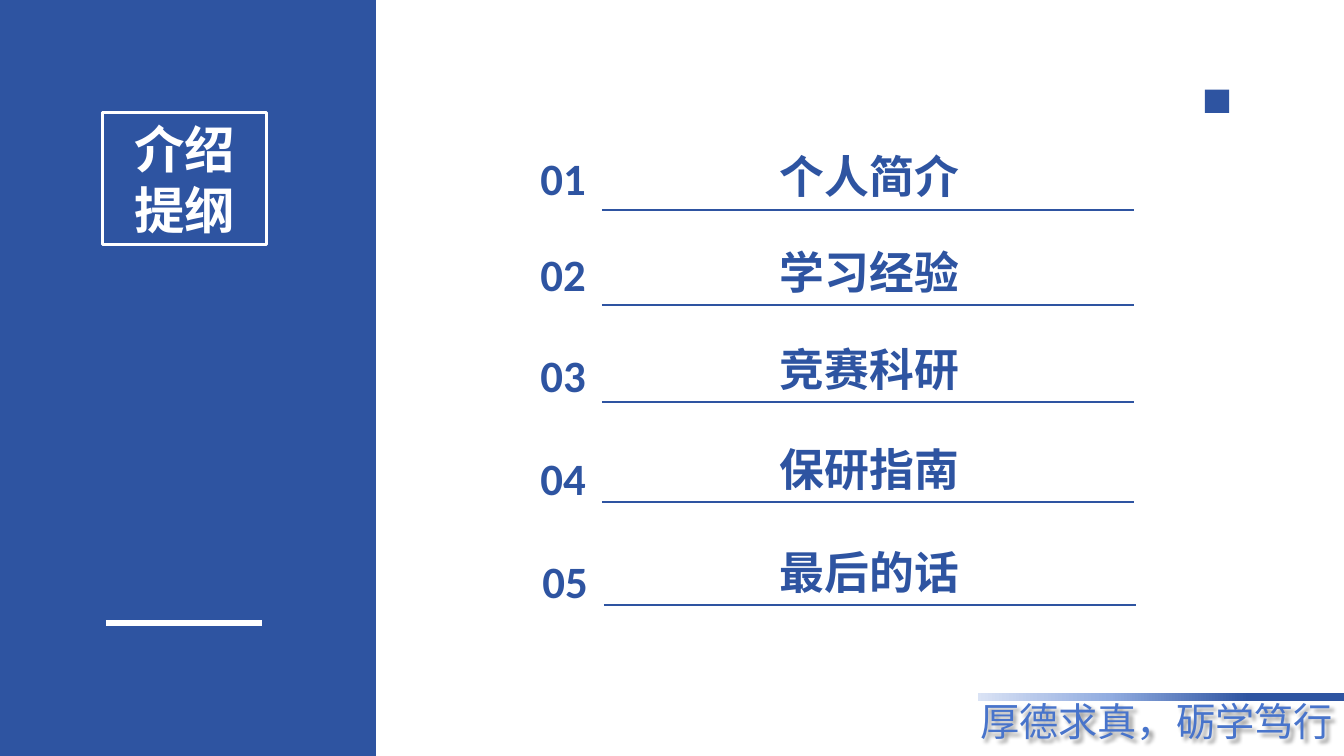
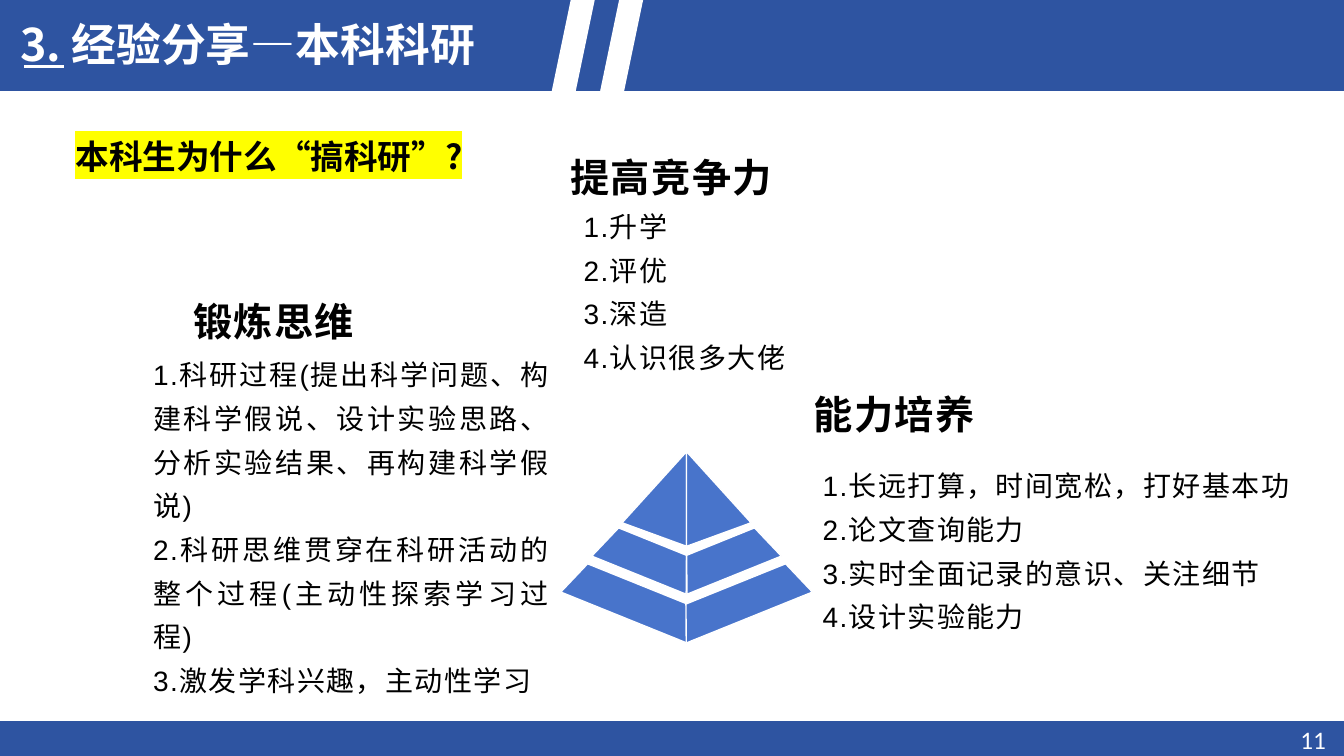
from lxml import etree
from pptx import Presentation, util as u
from pptx.dml.color import RGBColor
from pptx.enum import shapes, text
from pptx.oxml.ns import qn

WIDTH, HEIGHT = 13.33, 7.5
COLORS = {"navy": "2E54A1", "blue": "4874CB", "white": "FFFFFF",
          "black": "000000", "yellow": "FFFF00"}
CJK = "Noto Sans CJK SC"
SHAPE, ALIGN = shapes.MSO_SHAPE, text.PP_ALIGN

# Content: agenda rows are (name, rule height, number offset, shift of rule and number)
AGENDA_TITLE = ["介绍", "提纲"]
AGENDA = [
    ("个人简介", 2.08, 0.63, 0),
    ("学习经验", 3.03, 0.63, 0),
    ("竞赛科研", 3.99, 0.59, 0),
    ("保研指南", 4.98, 0.56, 0),
    ("最后的话", 6.00, 0.56, 0.02),
]
MOTTO = "厚德求真，砺学笃行"
MOTTO_FADE = [(0, "DAE3F5"), (17, "B6C7EA"), (36, "91ACE0"),
              (74, COLORS["navy"]), (100, COLORS["navy"])]

RESEARCH_TITLE = "3. 经验分享—本科科研"
QUESTION = "本科生为什么“搞科研”?"
PAGE_NUMBER = "11"
# Heading, heading frame, list, list frame
REASONS = [
    ("锻炼思维", (1.82, 2.76, 2.1, 0.71),
     ["科研过程(提出科学问题、构建科学假说、设计实验思路、分析实验结果、再构建科学假说)",
      "科研思维贯穿在科研活动的整个过程(主动性探索学习过程)",
      "激发学科兴趣，主动性学习"], (1.42, 3.4, 4.13, 3.6)),
    ("提高竞争力", (5.56, 1.33, 2.5, 0.71),
     ["升学", "评优", "深造", "认识很多大佬"], (5.69, 1.93, 2.36, 1.85)),
    ("能力培养", (7.97, 3.68, 2.79, 0.71),
     ["长远打算，时间宽松，打好基本功", "论文查询能力",
      "实时全面记录的意识、关注细节", "设计实验能力"], (8.06, 4.5, 6.67, 1.85)),
]
# Left half of the pyramid: shape, frame, rotation, adjustment
PYRAMID_AXIS = 6.81
PYRAMID = [
    (SHAPE.TRAPEZOID, (5.58, 5.78, 1.35, 0.36), 22, 0.394),
    (SHAPE.TRAPEZOID, (5.9, 5.36, 1.01, 0.36), 22, 0.394),
    (SHAPE.ISOSCELES_TRIANGLE, (6.02, 4.63, 0.94, 0.64), 270, 0.249),
]


def rgb(name):
    return RGBColor.from_string(COLORS[name])


def sub(parent, tag, **attributes):
    return etree.SubElement(parent, qn(tag), attributes)


def write(box, lines, size=20, color="black", font=CJK, bold=False, align=ALIGN.LEFT,
          spacing=None, tracking=None, highlight=None, wrap=True, inset=0.1,
          anchor=text.MSO_ANCHOR.TOP):
    """Fill a shape with one paragraph per line, all in one format."""
    frame = box.text_frame
    frame.auto_size = text.MSO_AUTO_SIZE.NONE
    frame.word_wrap, frame.vertical_anchor = wrap, anchor
    frame.margin_left = u.Inches(inset)
    for index, line in enumerate(lines):
        para = frame.add_paragraph() if index else frame.paragraphs[0]
        para.alignment = align
        if spacing:
            para.line_spacing = spacing
        span = para.add_run()
        span.text = line
        span.font.size, span.font.bold = u.Pt(size), bold
        span.font.color.rgb = rgb(color)
        span.font.name = font
        props = span.font._element
        props.set("lang", "zh-CN")
        if tracking:
            props.set("spc", str(tracking * 100))
        latin = props.find(qn("a:latin"))
        east = etree.Element(qn("a:ea"), typeface=CJK if font in ("Arial", "Calibri") else font)
        latin.addnext(east)
        if highlight:
            mark = etree.Element(qn("a:highlight"))
            sub(mark, "a:srgbClr", val=COLORS[highlight])
            latin.addprevious(mark)


def add_text(page, frame, lines, **style):
    box = page.shapes.add_textbox(*map(u.Inches, frame))
    write(box, lines, **style)
    return box


def add_block(page, kind, frame, fill="navy", line=None):
    block = page.shapes.add_shape(kind, *map(u.Inches, frame))
    block.shadow.inherit = False
    block.fill.solid()
    block.fill.fore_color.rgb = rgb(fill)
    if line:
        block.line.color.rgb, block.line.width = rgb(line), u.Pt(1)
    else:
        block.line.fill.background()
    return block


def add_rule(page, left, right, y, color, weight):
    rule = page.shapes.add_connector(shapes.MSO_CONNECTOR.STRAIGHT,
                                     *map(u.Inches, (left, y, right, y)))
    rule.line.color.rgb, rule.line.width = rgb(color), u.Pt(weight)
    sub(rule._element.spPr, "a:effectLst")


def place_title(page, frame, lines, **style):
    """Format the title placeholder and bring it in front of the bands."""
    title = page.shapes.title
    title.left, title.top, title.width, title.height = map(u.Inches, frame)
    write(title, lines, color="white", bold=True, **style)
    page.shapes._spTree.append(title._element)
    return title


def add_motto(page):
    band = add_block(page, SHAPE.RECTANGLE, (9.7, 6.87, WIDTH - 9.7, 0.08))
    band.fill.gradient()
    band.fill.gradient_angle = 0
    stops = band._element.spPr.find(".//" + qn("a:gsLst"))
    for stop in list(stops):
        stops.remove(stop)
    for share, color in MOTTO_FADE:
        sub(sub(stops, "a:gs", pos=str(share * 1000)), "a:srgbClr", val=color)

    motto = add_text(page, (9.6, 6.87, 3.74, 0.57), [MOTTO], size=28, color="blue",
                     font="Noto Sans CJK JP", align=ALIGN.CENTER, wrap=False)
    shadow = sub(sub(motto._element.spPr, "a:effectLst"), "a:outerShdw", blurRad="38100",
                 dist="38100", dir="2700000", algn="tl", rotWithShape="0")
    sub(sub(shadow, "a:srgbClr", val=COLORS["black"]), "a:alpha", val="40000")


def build_agenda(page):
    # Side panel
    add_block(page, SHAPE.RECTANGLE, (0, 0, 3.72, HEIGHT), line="navy")
    title = place_title(page, (1.02, 1.12, 1.62, 1.31), AGENDA_TITLE, size=36,
                        align=ALIGN.CENTER, anchor=text.MSO_ANCHOR.MIDDLE)
    title.line.color.rgb, title.line.width = rgb("white"), u.Pt(2.25)
    add_rule(page, 1.05, 2.6, 6.18, "white", 4.5)

    add_motto(page)
    add_block(page, SHAPE.RECTANGLE, (11.95, 0.89, 0.24, 0.23))

    # Numbered rows
    style = dict(size=32, color="navy", bold=True, align=ALIGN.CENTER)
    for number, (name, y, lift, shift) in enumerate(AGENDA, 1):
        add_text(page, (5.76, y - 0.65, 5.73, 0.64), [name], **style)
        add_text(page, (5.22 + shift, y - lift, 0.73, 0.64), [f"{number:02}"],
                 font="Calibri", **style)
        add_rule(page, 5.97 + shift, 11.25 + shift, y, "navy", 1.5)


def build_pyramid(page):
    for kind, (left, top, width, height), turn, adjustment in PYRAMID:
        mirrored = 2 * PYRAMID_AXIS - left - width
        for x, angle in ((left, turn), (mirrored, 360 - turn)):
            face = add_block(page, kind, (x, top, width, height), "blue", "white")
            face.adjustments[0] = adjustment
            face.rotation = angle
            if x == mirrored:
                face._element.spPr.find(qn("a:xfrm")).set("flipH", "1")


def build_research(page):
    # Header and footer bands
    add_block(page, SHAPE.RECTANGLE, (0, -0.04, WIDTH, 0.94), line="navy")
    add_block(page, SHAPE.RECTANGLE, (0, 7.16, WIDTH, 0.34), line="navy")
    add_rule(page, 0.24, 0.63, 0.66, "white", 1.5)
    for left in (5.48, 5.96):
        stripe = add_block(page, SHAPE.PARALLELOGRAM, (left, -0.04, 0.42, 0.94),
                           "white", "white")
        stripe.adjustments[0] = 0.466
    add_text(page, (12.8, 7.14, 1.07, 0.26), [PAGE_NUMBER], size=18, color="white",
             font="Calibri")
    place_title(page, (0, 0.12, 7.99, 0.64), [RESEARCH_TITLE], size=32, inset=0.2)

    build_pyramid(page)

    # Question and reasons
    add_text(page, (0.65, 1.3, 4.44, 0.91), [QUESTION], size=24, bold=True,
             highlight="yellow")
    style = dict(font="Arial", align=ALIGN.JUSTIFY, spacing=1.3, tracking=1)
    for heading, heading_frame, items, list_frame in REASONS:
        add_text(page, heading_frame, [heading], size=28, bold=True, **style)
        numbered = [f"{number}.{item}" for number, item in enumerate(items, 1)]
        add_text(page, list_frame, numbered, **style)


def main():
    deck = Presentation()
    deck.slide_width, deck.slide_height = u.Inches(WIDTH), u.Inches(HEIGHT)
    title_only = deck.slide_layouts[5]
    for build in (build_agenda, build_research):
        build(deck.slides.add_slide(title_only))
    deck.save("out.pptx")


if __name__ == "__main__":
    main()
